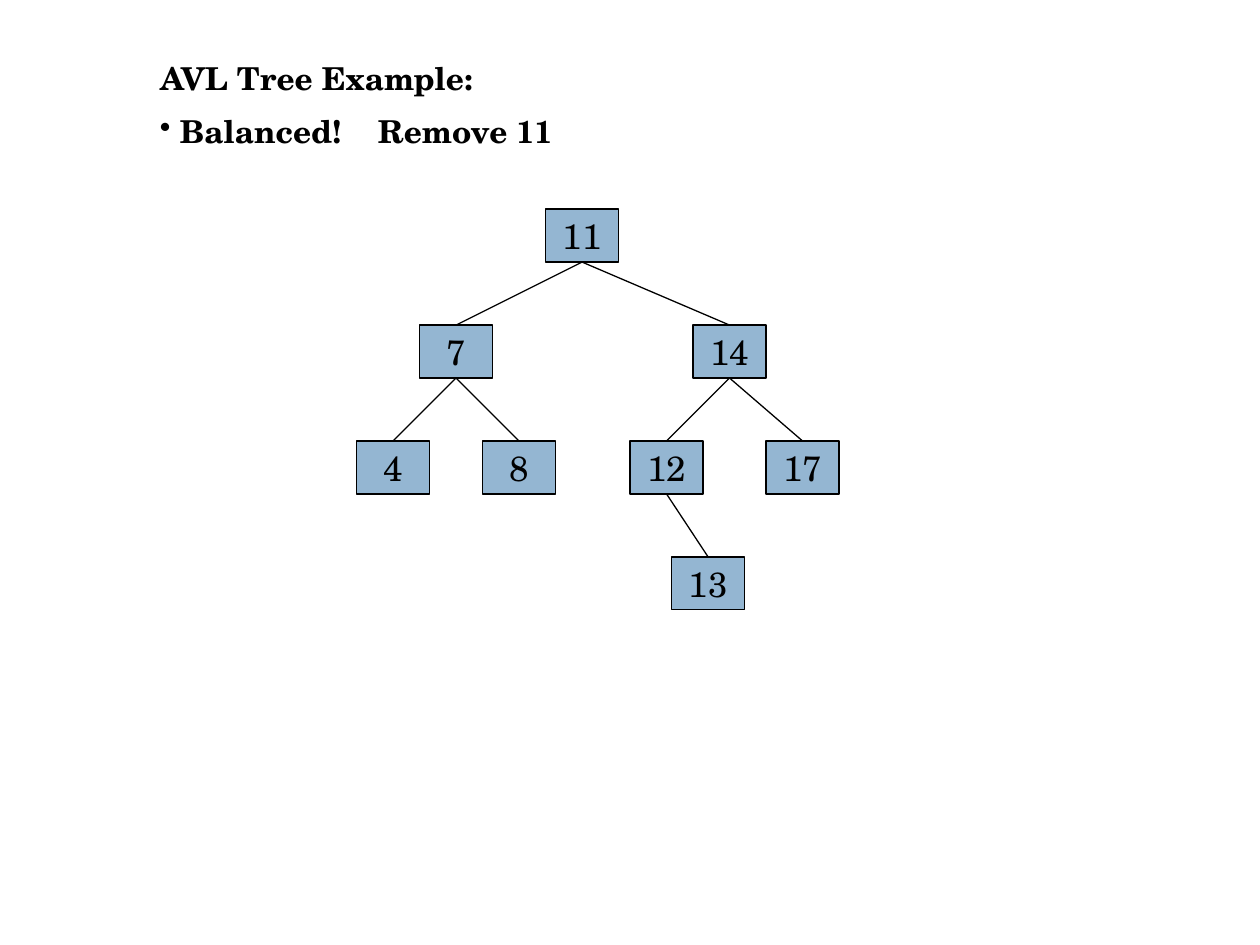
from lxml.etree import SubElement
from pptx import Presentation
from pptx.dml.color import RGBColor
from pptx.enum.shapes import MSO_CONNECTOR, MSO_SHAPE
from pptx.enum.text import MSO_ANCHOR, PP_ALIGN
from pptx.oxml.ns import qn
from pptx.util import Inches, Pt

COLORS = {"ink": "000000", "node": "94B6D2"}
NODES = {
    "11": (4.33, 0),
    "7": (3.33, 1), "14": (5.5, 1),
    "4": (2.83, 2), "8": (3.83, 2), "12": (5, 2), "17": (6.08, 2),
    "13": (5.33, 3),
}
EDGES = [("11", "7"), ("11", "14"), ("7", "4"), ("7", "8"),
         ("14", "12"), ("14", "17"), ("12", "13")]
TOP, STEP = 1.66, 0.92


def color(name):
    return RGBColor.from_string(COLORS[name])


def write(frame, text, size=18, bold=False, align=PP_ALIGN.LEFT,
          anchor=MSO_ANCHOR.TOP, bullet=None, tab=None):
    frame.word_wrap = True
    frame.vertical_anchor = anchor
    frame.margin_left = frame.margin_right = Inches(0.1)
    frame.margin_top = frame.margin_bottom = Inches(0.05)
    para = frame.paragraphs[0]
    para.text = text
    para.alignment = align
    props = para._p.get_or_add_pPr()
    if bullet:
        props.set("marL", "0")
        props.set("indent", "0")
        SubElement(props, qn("a:buChar"), char=bullet)
    if tab:
        tabs = SubElement(props, qn("a:tabLst"))
        SubElement(tabs, qn("a:tab"), pos=str(Inches(tab)), algn="l")
    font = para.runs[0].font
    font.name, font.size, font.bold = "TeX Gyre Schola", Pt(size), bold
    font.color.rgb = color("ink")


class Deck:
    """Holds the style and the current slide."""

    def __init__(self):
        self.file = Presentation()
        self.file.slide_width, self.file.slide_height = Inches(10), Inches(7.5)
        self.slide = self.file.slides.add_slide(self.file.slide_layouts[5])
        self.shapes = self.slide.shapes

    def title(self, text, left, top, width, height):
        head = self.shapes.title
        head.left, head.top = Inches(left), Inches(top)
        head.width, head.height = Inches(width), Inches(height)
        write(head.text_frame, text, bold=True)

    def point(self, text, left, top, width, height, tab):
        box = self.shapes.add_textbox(
            Inches(left), Inches(top), Inches(width), Inches(height))
        write(box.text_frame, text, bold=True, bullet="•", tab=tab)

    def node(self, text, left, top):
        box = self.shapes.add_shape(
            MSO_SHAPE.RECTANGLE, Inches(left), Inches(top),
            Inches(0.58), Inches(0.42))
        box.shadow.inherit = False
        box.fill.solid()
        box.fill.fore_color.rgb = color("node")
        box.line.color.rgb = color("ink")
        box.line.width = Pt(0.75)
        write(box.text_frame, text, size=20, align=PP_ALIGN.CENTER,
              anchor=MSO_ANCHOR.MIDDLE)
        return box

    def edge(self, parent, child):
        line = self.shapes.add_connector(MSO_CONNECTOR.STRAIGHT, 0, 0, 0, 0)
        line.begin_connect(parent, 2)
        line.end_connect(child, 0)
        line.line.color.rgb = color("ink")
        line.line.width = Pt(0.75)
        SubElement(line._element.spPr, qn("a:effectLst"))


def main():
    deck = Deck()
    deck.title("AVL Tree Example:", 1.17, 0.42, 7.83, 0.42)
    deck.point(" Balanced!\tRemove 11", 1.17, 0.84, 7.83, 0.42, tab=1.73)
    boxes = {key: deck.node(key, left, TOP + level * STEP)
             for key, (left, level) in NODES.items()}
    for parent, child in EDGES:
        deck.edge(boxes[parent], boxes[child])
    deck.file.save("out.pptx")


if __name__ == "__main__":
    main()
